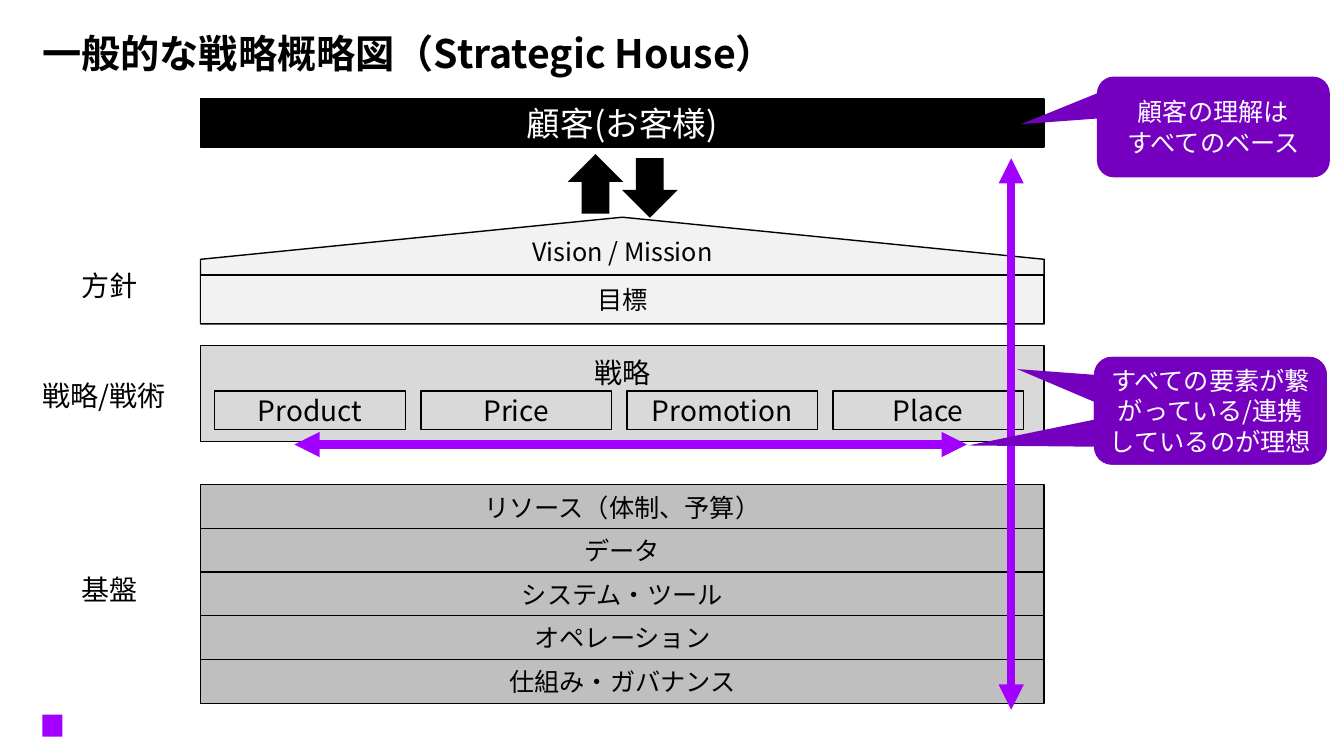
from dataclasses import dataclass

from lxml import etree
from pptx import Presentation, util as u
from pptx.dml.color import RGBColor
from pptx.enum import shapes, text
from pptx.oxml import ns

WIDTH, HEIGHT = u.Inches(13.33), u.Inches(7.5)
Kind = shapes.MSO_SHAPE
Anchor = text.MSO_ANCHOR
Align = text.PP_ALIGN


@dataclass(frozen=True)
class Theme:
    font: str = "Noto Sans CJK JP"
    black: str = "000000"
    white: str = "FFFFFF"
    roof: str = "F2F2F2"
    strategy: str = "D9D9D9"
    base: str = "BFBFBF"
    callout: str = "7500C0"
    accent: str = "A100FF"
    title: int = 28
    customer: int = 24
    heading: int = 20
    body: int = 18
    outline: int = 1
    arrow: int = 6


THEME = Theme()

# Shares of the slide, in percent of its width or height
HOUSE_X, HOUSE_W = 14.92, 62.77
BAND_H = 6.4
GOAL_Y = 36.4
PILLAR_X, PILLAR_STEP, PILLAR_W = 15.98, 15.33, 14.18
BASE_Y, BASE_STEP, BASE_H = 64.13, 5.77, 5.87
CALLOUT_W = 17.33

PILLARS = ["Product", "Price", "Promotion", "Place"]
FOUNDATIONS = ["リソース（体制、予算）", "データ", "システム・ツール",
               "オペレーション", "仕組み・ガバナンス"]
ROW_LABELS = [("方針", 6.08, 35.47, 5.78),
              ("戦略/戦術", 3.15, 50.13, 11.78),
              ("基盤", 6.08, 75.73, 5.78)]


def col(share):
    return u.Emu(round(WIDTH * share / 100))


def row(share):
    return u.Emu(round(HEIGHT * share / 100))


def frame(x, y, w, h):
    return col(x), row(y), col(w), row(h)


def write(sp, words, size, color=THEME.black, align=Align.CENTER,
          anchor=Anchor.MIDDLE, inset=0.1, bold=False, wrap=True):
    tf = sp.text_frame
    tf.text = words
    tf.word_wrap = wrap
    tf.auto_size = text.MSO_AUTO_SIZE.NONE
    tf.vertical_anchor = anchor
    tf.margin_left = tf.margin_right = u.Inches(inset)
    tf.margin_top = tf.margin_bottom = u.Inches(inset)
    for p in tf.paragraphs:
        p.alignment = align
        for r in p.runs:
            r.font.size = u.Pt(size)
            r.font.bold = bold
            r.font.name = THEME.font
            r.font.color.rgb = RGBColor.from_string(color)
            east_asian = etree.Element(ns.qn("a:ea"), typeface=THEME.font)
            r.font._element.find(ns.qn("a:latin")).addnext(east_asian)
    return tf


def add_block(slide, box, fill=None, outlined=True, kind=Kind.RECTANGLE):
    sp = slide.shapes.add_shape(kind, *box)
    sp.shadow.inherit = False
    if fill:
        sp.fill.solid()
        sp.fill.fore_color.rgb = RGBColor.from_string(fill)
    else:
        sp.fill.background()
    if outlined:
        sp.line.color.rgb = RGBColor.from_string(THEME.black)
        sp.line.width = u.Pt(THEME.outline)
    else:
        sp.line.fill.background()
    return sp


def add_band(slide, words, y, h, fill, size=THEME.body, **style):
    """Add a bar across the full width of the house."""
    sp = add_block(slide, frame(HOUSE_X, y, HOUSE_W, h), fill)
    write(sp, words, size, **style)


def add_roof(slide):
    left, top, width, height = frame(HOUSE_X, 28.73, HOUSE_W, 14.13)
    shift = (width - height) // 2
    roof = add_block(slide, (left + shift, top - shift, height, width),
                     THEME.roof, kind=Kind.PENTAGON)
    roof.adjustments[0] = 0.394
    roof.rotation = 270
    vision = slide.shapes.add_textbox(*frame(HOUSE_X, 30, HOUSE_W, BAND_H))
    write(vision, "Vision / Mission", THEME.body)
    add_band(slide, "目標", GOAL_Y, BAND_H, THEME.roof)


def add_strategy(slide):
    add_band(slide, "戦略", 45.73, 12.67, THEME.strategy, THEME.heading,
             anchor=Anchor.TOP)
    for i, name in enumerate(PILLARS):
        box = frame(PILLAR_X + i * PILLAR_STEP, 51.73, PILLAR_W, 5.07)
        write(add_block(slide, box), name, THEME.heading)


def add_foundations(slide):
    for i, name in enumerate(FOUNDATIONS):
        add_band(slide, name, BASE_Y + i * BASE_STEP, BASE_H, THEME.base)


def add_exchange_arrows(slide):
    for x, y, turn in [(46.29, 20.93, 0), (42.24, 20.4, 180)]:
        sp = add_block(slide, frame(x, y, 4.13, 7.87), THEME.black,
                       outlined=False, kind=Kind.DOWN_ARROW)
        sp.rotation = turn


def add_row_labels(slide):
    for words, x, y, w in ROW_LABELS:
        label = slide.shapes.add_textbox(*frame(x, y, w, BASE_H))
        tf = write(label, words, THEME.heading, align=Align.LEFT,
                   anchor=Anchor.TOP, inset=0, wrap=False)
        tf.paragraphs[0].space_after = u.Pt(12)


def add_callout(slide, x, y, h, tail, words=""):
    sp = add_block(slide, frame(x, y, CALLOUT_W, h), THEME.callout,
                   outlined=False, kind=Kind.ROUNDED_RECTANGULAR_CALLOUT)
    sp.adjustments[0], sp.adjustments[1] = tail
    if words:
        write(sp, words, THEME.body, THEME.white)


def add_double_arrow(slide, x1, y1, x2, y2):
    line = slide.shapes.add_connector(
        shapes.MSO_CONNECTOR.STRAIGHT, col(x1), row(y1), col(x2), row(y2))
    line.line.color.rgb = RGBColor.from_string(THEME.accent)
    line.line.width = u.Pt(THEME.arrow)
    ln = line.line._get_or_add_ln()
    for end in ("a:headEnd", "a:tailEnd"):
        etree.SubElement(ln, ns.qn(end), type="triangle")
    etree.SubElement(ln.getparent(), ns.qn("a:effectLst"))


def add_title(slide):
    title = slide.shapes.title
    title.left, title.top, title.width, title.height = frame(
        3.15, 4.93, 93.77, 5.2)
    tf = write(title, "一般的な戦略概略図（Strategic House）", THEME.title,
               align=Align.LEFT, inset=0, bold=True)
    tf.paragraphs[0].line_spacing = 0.8


def main():
    prs = Presentation()
    prs.slide_width, prs.slide_height = WIDTH, HEIGHT
    slide = prs.slides.add_slide(prs.slide_layouts[5])

    add_title(slide)
    add_block(slide, frame(3.15, 94.53, 1.5, 2.93), THEME.accent,
              outlined=False)
    add_roof(slide)
    add_band(slide, "顧客(お客様)", 13.07, BAND_H, THEME.black,
             THEME.customer, color=THEME.white)
    add_strategy(slide)
    add_foundations(slide)
    add_exchange_arrows(slide)
    add_row_labels(slide)

    add_callout(slide, 81.62, 10.13, 13.33, (-0.825, -0.028),
                "顧客の理解は\nすべてのベース")
    add_double_arrow(slide, 75.24, 20.93, 75.24, 93.87)
    add_callout(slide, 81.4, 47.2, 14.27, (-0.83, -0.386))
    add_double_arrow(slide, 71.94, 58.8, 21.9, 58.8)
    add_callout(slide, 81.4, 47.2, 14.27, (-1.04, 0.322),
                "すべての要素が繋がっている/連携しているのが理想")

    prs.save("out.pptx")


if __name__ == "__main__":
    main()
